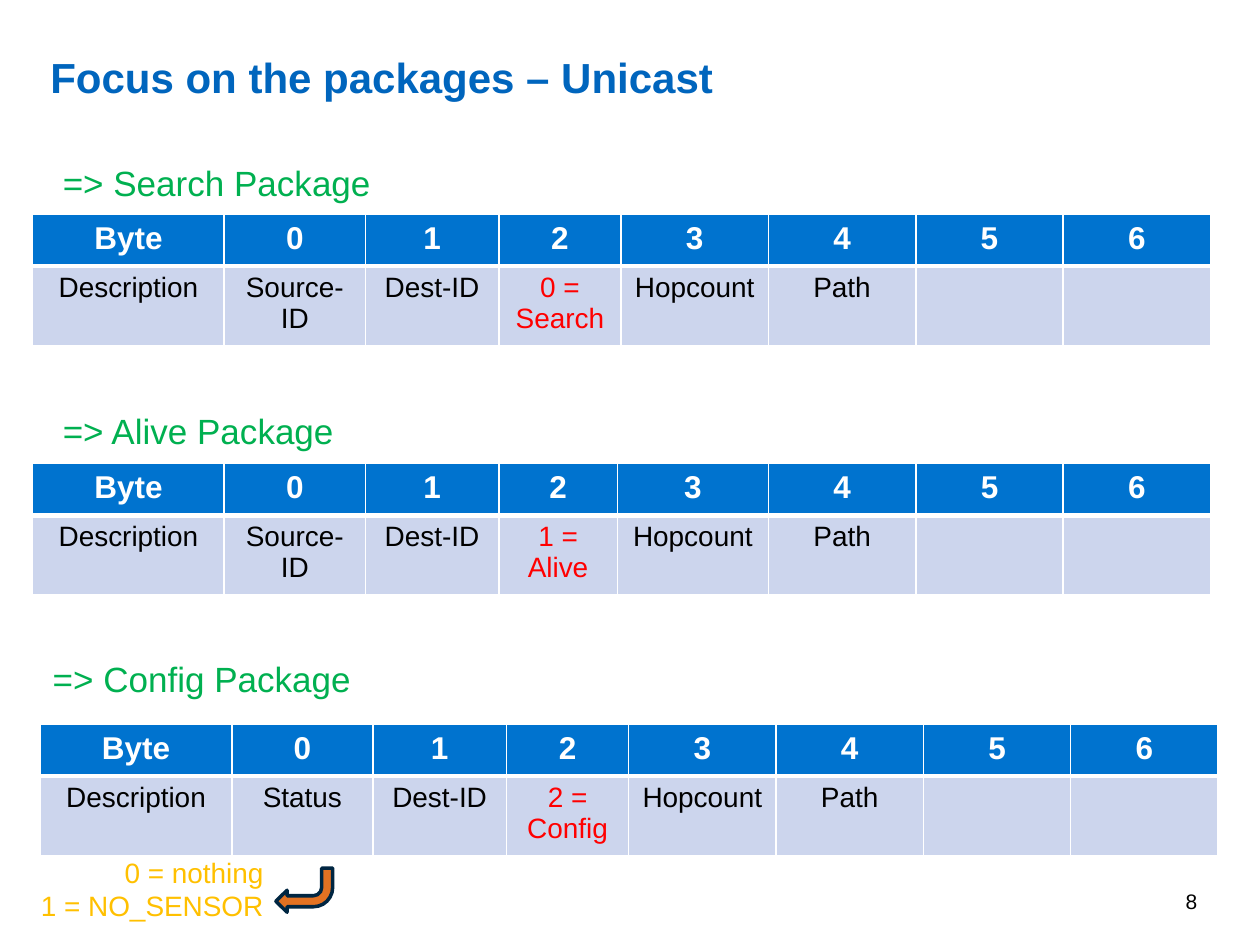
import pptx
import pptx.util
import pptx.dml.color
import pptx.enum.shapes
import pptx.enum.text
import pptx.oxml
import pptx.oxml.ns

Inches = pptx.util.Inches
Pt = pptx.util.Pt
RGBColor = pptx.dml.color.RGBColor
PP_ALIGN = pptx.enum.text.PP_ALIGN
MSO_ANCHOR = pptx.enum.text.MSO_ANCHOR

TITLE_BLUE = RGBColor(0x00, 0x65, 0xBD)
HEADER_BLUE = RGBColor(0x00, 0x73, 0xCF)
BODY_BLUE = RGBColor(0xCC, 0xD5, 0xED)
GREEN = RGBColor(0x00, 0xB0, 0x50)
RED = RGBColor(0xFF, 0x00, 0x00)
AMBER = RGBColor(0xFF, 0xC0, 0x00)
ORANGE = RGBColor(0xE3, 0x72, 0x22)
NAVY = RGBColor(0x00, 0x26, 0x42)
WHITE = RGBColor(0xFF, 0xFF, 0xFF)
BLACK = RGBColor(0x00, 0x00, 0x00)


def write_text(tf, text, font="Arial", size=16, color=BLACK, bold=False,
               align=PP_ALIGN.LEFT, line_spacing=None):
    for i, line in enumerate(text.split("\n")):
        p = tf.paragraphs[0] if i == 0 else tf.add_paragraph()
        p.alignment = align
        p.line_spacing = line_spacing
        r = p.add_run()
        r.text = line
        r.font.name = font
        r.font.size = Pt(size)
        r.font.bold = bold
        r.font.color.rgb = color


class SlideBuilder:
    font = "Arial"

    def __init__(self, prs):
        self.s = prs.slides.add_slide(prs.slide_layouts[6])

    def text(self, box, text, wrap=False, anchor=MSO_ANCHOR.TOP, inset=None, **fmt):
        sp = self.s.shapes.add_textbox(*map(Inches, box))
        tf = sp.text_frame
        tf.word_wrap = wrap
        tf.vertical_anchor = anchor
        if inset is not None:
            tf.margin_left = tf.margin_right = Inches(inset)
            tf.margin_top = tf.margin_bottom = Inches(inset)
        write_text(tf, text, font=self.font, **fmt)

    def border(self, cell, bottom):
        tcPr = cell._tc.get_or_add_tcPr()
        widths = {"lnL": 1, "lnR": 1, "lnT": 1, "lnB": bottom}
        for i, (side, width) in enumerate(widths.items()):
            ln = pptx.oxml.parse_xml(
                f'<a:{side} {pptx.oxml.ns.nsdecls("a")} w="{Pt(width)}">'
                f'<a:solidFill><a:srgbClr val="{WHITE}"/></a:solidFill></a:{side}>')
            tcPr.insert(i, ln)

    def byte_table(self, left, top, widths, fields, type_column=3):
        rows = [["Byte"] + [str(n) for n in range(7)], ["Description"] + fields]
        heights = [0.41, 0.63]
        frame = self.s.shapes.add_table(
            len(rows), len(widths), Inches(left), Inches(top),
            Inches(sum(widths)), Inches(sum(heights)))
        table = frame.table
        for column, width in zip(table.columns, widths):
            column.width = Inches(width)
        for i, values in enumerate(rows):
            table.rows[i].height = Inches(heights[i])
            header = i == 0
            for j, value in enumerate(values):
                cell = table.cell(i, j)
                cell.fill.solid()
                cell.fill.fore_color.rgb = HEADER_BLUE if header else BODY_BLUE
                self.border(cell, 3 if header else 1)
                if not value:
                    continue
                body_color = RED if j == type_column else BLACK
                write_text(cell.text_frame, value, font=self.font,
                           size=18 if header else 16, bold=header,
                           color=WHITE if header else body_color,
                           align=PP_ALIGN.CENTER)

    def bent_arrow(self, box, rotation):
        sp = self.s.shapes.add_shape(
            pptx.enum.shapes.MSO_SHAPE.BENT_ARROW, *map(Inches, box))
        sp.rotation = rotation
        sp.shadow.inherit = False
        sp.fill.solid()
        sp.fill.fore_color.rgb = ORANGE
        sp.line.color.rgb = NAVY
        sp.line.width = Pt(2)


def main():
    prs = pptx.Presentation()
    prs.slide_width = Inches(10)
    prs.slide_height = Inches(7.5)
    slide = SlideBuilder(prs)

    slide.text((0.4, 0.36, 7.84, 0.39), "Focus on the packages – Unicast",
               wrap=True, anchor=MSO_ANCHOR.MIDDLE, inset=0,
               size=24, color=TITLE_BLUE, bold=True, line_spacing=1.25)

    packages = [
        ("Search", (0.4, 1.23, 2.66, 0.44), (0.26, 1.7), "Source-ID", 0.97),
        ("Alive", (0.4, 3.2, 2.37, 0.44), (0.26, 3.68), "Source-ID", 0.94),
        ("Config", (0.32, 5.17, 2.59, 0.44), (0.32, 5.75), "Status", 0.97),
    ]
    for code, (name, heading, corner, first, type_width) in enumerate(packages):
        slide.text(heading, f"=> {name} Package", size=20, color=GREEN)
        widths = [1.52, 1.12, 1.06, type_width, 2.14 - type_width] + [1.17] * 3
        fields = [first, "Dest-ID", f"{code} = {name}", "Hopcount", "Path", "", ""]
        slide.byte_table(*corner, widths, fields)

    slide.bent_arrow((2.19, 6.89, 0.45, 0.35), 180)
    slide.text((0.2, 6.74, 1.99, 0.64), "0 = nothing\n1 = NO_SENSOR",
               color=AMBER, align=PP_ALIGN.RIGHT)
    slide.text((7.27, 6.95, 2.33, 0.4), "8", wrap=True,
               anchor=MSO_ANCHOR.MIDDLE, size=12, align=PP_ALIGN.RIGHT)

    prs.save("out.pptx")


if __name__ == "__main__":
    main()
